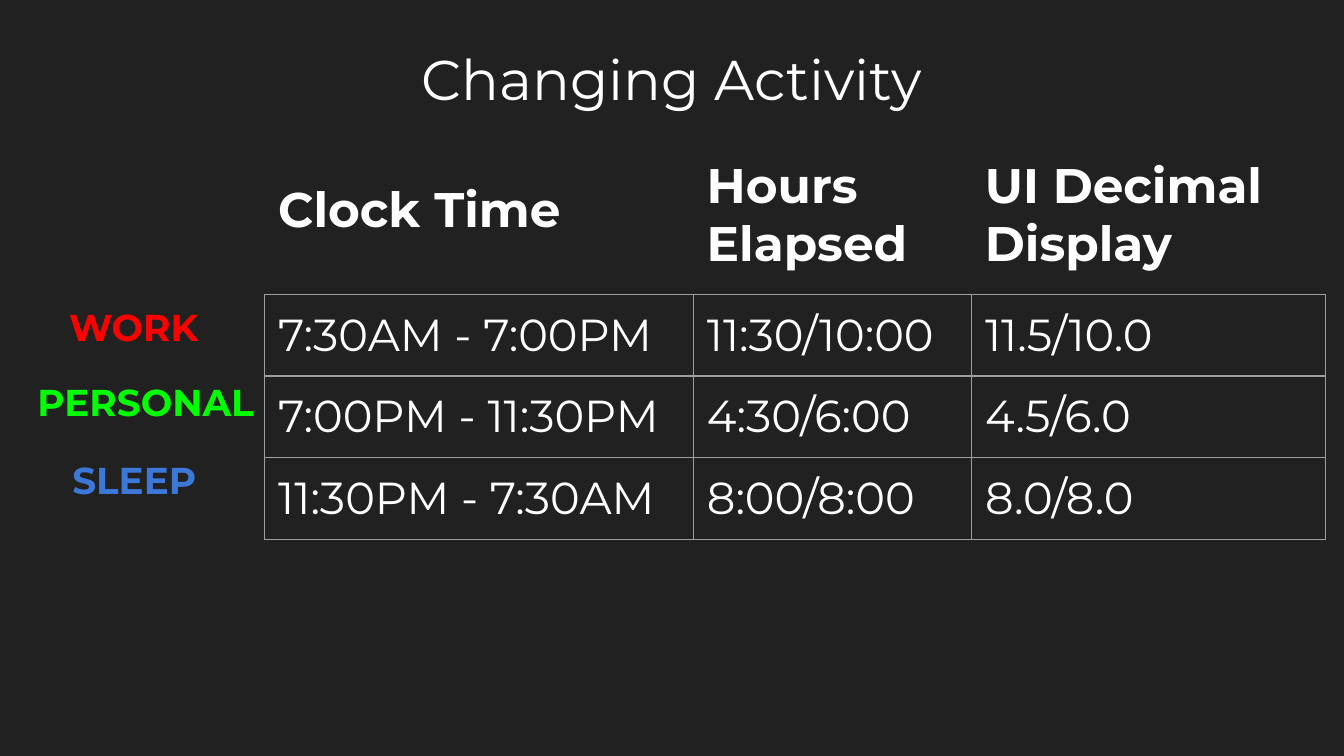
from lxml import etree
from pptx import Presentation
from pptx.dml.color import RGBColor
from pptx.enum.text import MSO_ANCHOR, PP_ALIGN
from pptx.oxml.ns import qn
from pptx.util import Inches, Pt

LEFT, MID, TOP = PP_ALIGN.LEFT, PP_ALIGN.CENTER, MSO_ANCHOR.TOP

THEME = {
    "font": "Montserrat", "back": "212121", "text": "FFFFFF", "grid": "9E9E9E",
    "work": "FF0000", "personal": "00FF00", "sleep": "3C78D8",
    "title": 30, "head": 26, "cell": 24, "label": 20, "line": 0.75,
}
BOXES = [
    ("Changing Activity", (0, 0.23, 10, 0.63), "title", "text", False, MID),
    ("Clock Time", (1.97, 1.23, 3.19, 0.75), "head", "text", True, LEFT),
    ("Hours Elapsed", (5.16, 1.05, 2.3, 0.65), "head", "text", True, LEFT),
    ("UI Decimal Display", (7.23, 1.05, 2.86, 0.47), "head", "text", True, LEFT),
    ("WORK", (0.34, 2.16, 1.31, 0.47), "label", "work", True, MID),
    ("PERSONAL", (0.18, 2.72, 1.94, 0.47), "label", "personal", True, LEFT),
    ("SLEEP", (0.28, 3.3, 1.44, 0.47), "label", "sleep", True, MID),
]
ROWS = [
    ("7:30AM - 7:00PM", "11:30/10:00", "11.5/10.0"),
    ("7:00PM - 11:30PM", "4:30/6:00", "4.5/6.0"),
    ("11:30PM - 7:30AM", "8:00/8:00", "8.0/8.0"),
]
WIDE = 10
COLS = (3.19, 2.07, 2.63)
ROW_H = 0.57
ORIGIN = (1.97, 2.19)
PAD = Inches(0.1)
INSETS = {f"margin_{side}": PAD for side in ("left", "top", "right", "bottom")}


def apply(item, values):
    """Set every attribute named in values."""
    for name, value in values.items():
        setattr(item, name, value)


def write(frame, text, size, color="text", bold=False, align=LEFT):
    """Write one styled paragraph."""
    para = frame.paragraphs[0]
    para.alignment = align
    run = para.add_run()
    run.text = text
    apply(run.font, {"name": THEME["font"], "size": Pt(THEME[size]), "bold": bold})
    run.font.color.rgb = RGBColor.from_string(THEME[color])


def add_box(slide, text, place, *style):
    """Add a wrapped text box."""
    frame = slide.shapes.add_textbox(*map(Inches, place)).text_frame
    apply(frame, {**INSETS, "word_wrap": True, "vertical_anchor": TOP})
    write(frame, text, *style)


def add_edges(cell):
    """Draw a thin line on all four sides of a cell."""
    props = cell._tc.get_or_add_tcPr()
    for spot, side in enumerate("LRTB"):
        line = etree.Element(qn(f"a:ln{side}"), w=str(Pt(THEME["line"])))
        fill = etree.SubElement(line, qn("a:solidFill"))
        etree.SubElement(fill, qn("a:srgbClr"), val=THEME["grid"])
        props.insert(spot, line)


def add_grid(slide):
    """Add the table of times."""
    size = (sum(COLS), ROW_H * len(ROWS))
    table = slide.shapes.add_table(
        len(ROWS), len(COLS), *map(Inches, ORIGIN + size)).table
    apply(table, {"first_row": False, "horz_banding": False})
    for col, width in zip(table.columns, COLS):
        col.width = Inches(width)
    for r, row in enumerate(ROWS):
        table.rows[r].height = Inches(ROW_H)
        for c, text in enumerate(row):
            cell = table.cell(r, c)
            apply(cell, {**INSETS, "vertical_anchor": TOP})
            cell.fill.background()
            add_edges(cell)
            write(cell.text_frame, text, "cell")


def main():
    """Build the slide and save it."""
    deck = Presentation()
    apply(deck, {"slide_width": Inches(WIDE), "slide_height": Inches(WIDE * 9 / 16)})
    slide = deck.slides.add_slide(deck.slide_layouts[6])
    fill = slide.background.fill
    fill.solid()
    fill.fore_color.rgb = RGBColor.from_string(THEME["back"])
    add_grid(slide)
    for box in BOXES:
        add_box(slide, *box)
    deck.save("out.pptx")


if __name__ == "__main__":
    main()
